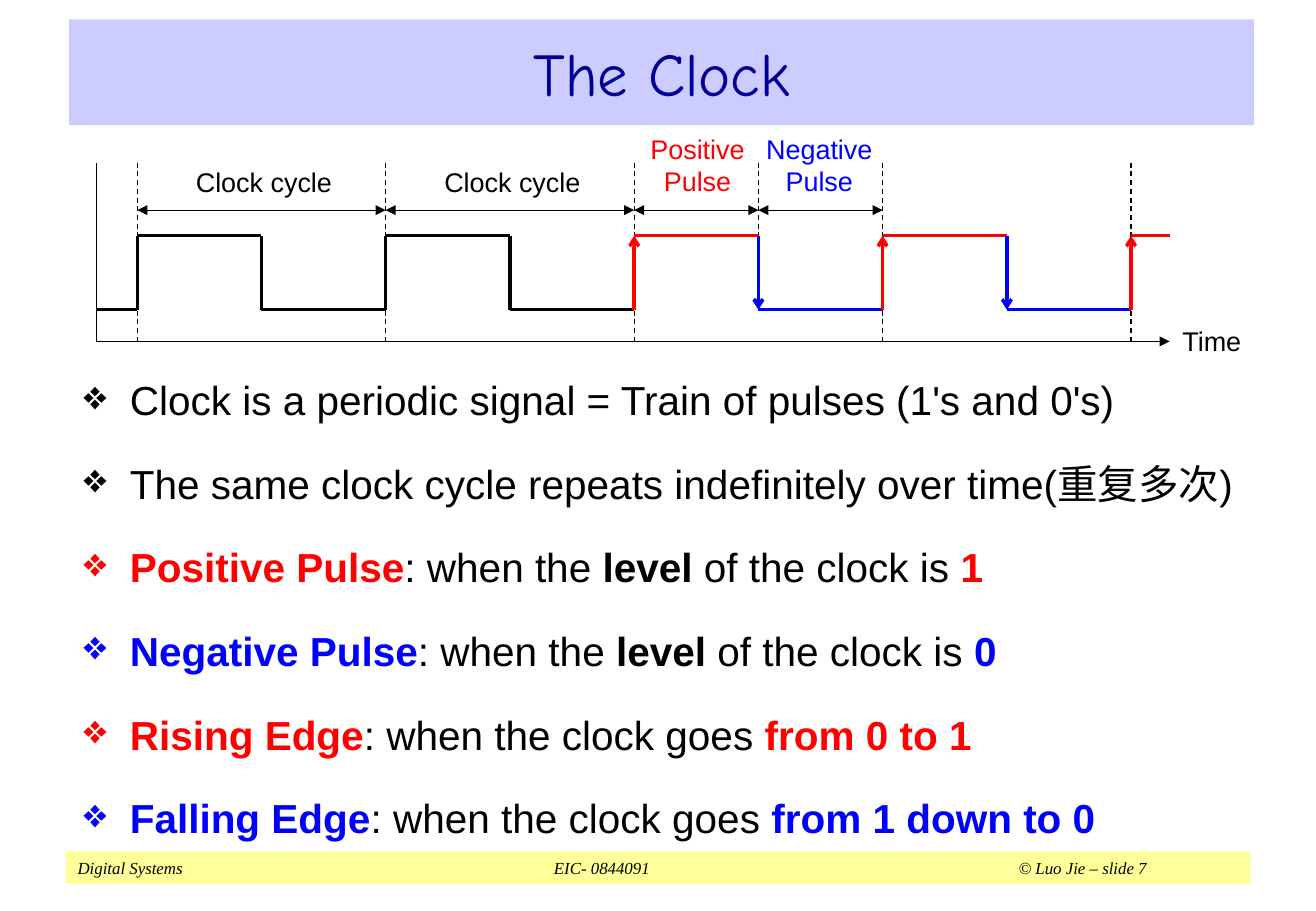
"""Build a slide that explains the clock signal with a timing diagram and definitions."""
from dataclasses import dataclass

from lxml import etree
from pptx import Presentation
from pptx.dml.color import RGBColor
from pptx.enum.dml import MSO_LINE
from pptx.enum.shapes import MSO_CONNECTOR, MSO_SHAPE
from pptx.enum.text import MSO_ANCHOR, PP_ALIGN
from pptx.oxml.ns import qn
from pptx.slide import Slide
from pptx.util import Inches, Pt

STRAIGHT = MSO_CONNECTOR.STRAIGHT
RECTANGLE = MSO_SHAPE.RECTANGLE
DASH = MSO_LINE.DASH
LEFT, CENTER = PP_ALIGN.LEFT, PP_ALIGN.CENTER
TOP, MIDDLE = MSO_ANCHOR.TOP, MSO_ANCHOR.MIDDLE

PAGE_WIDTH, PAGE_HEIGHT = Inches(10.83), Inches(7.5)


@dataclass(frozen=True)
class Theme:
    black: str = "000000"
    red: str = "FF0000"
    blue: str = "0000FF"
    title_text: str = "000099"
    title_fill: str = "CCCCFF"
    footer_fill: str = "FFFF99"
    sans: str = "Arial"
    title_font: str = "Comic Neue"
    footer_font: str = "Times New Roman"
    title_size: float = 36
    body_size: float = 24
    label_size: float = 16
    footer_size: float = 10
    thin: float = 0.75
    thick: float = 2


THEME = Theme()


@dataclass(frozen=True)
class Box:
    """Rectangle in percent of the page."""
    left: float
    top: float
    width: float
    height: float


@dataclass(frozen=True)
class Span:
    text: str
    color: str = THEME.black
    bold: bool = False


@dataclass(frozen=True)
class Label:
    text: str
    middle: float
    columns: float
    top: float
    height: float
    color: str = THEME.black


@dataclass(frozen=True)
class Measure:
    start: int
    end: int


FIRST_EDGE, HALF_CYCLE = 10.43, 9.44
AXIS_START, AXIS_END, LAST_EDGE = -0.33, 8.31, 8
GUIDE_TOP, MEASURE_ROW, HIGH, GUIDE_SHORT, LOW, AXIS = 17.87, 23.07, 25.87, 28.4, 34, 37.47
FIRST_COLORED = 4

LABELS = [
    Label("Clock cycle", 1.02, 1.31, 17.47, 4.93),
    Label("Clock cycle", 3.02, 1.31, 17.47, 4.93),
    Label("Positive\nPulse", 4.51, 1.03, 13.87, 8.53, THEME.red),
    Label("Negative\nPulse", 5.49, 1.03, 13.87, 8.53, THEME.blue),
    Label("Time", 8.65, 0.52, 34.93, 4.93),
]
MEASURES = [Measure(0, 2), Measure(2, 4), Measure(4, 5), Measure(5, 6)]


def pulse(name: str, color: str, value: str) -> list[Span]:
    return [Span(name, color, True), Span(": when the "), Span("level", bold=True),
            Span(" of the clock is "), Span(value, color, True)]


def edge(name: str, color: str, change: str) -> list[Span]:
    return [Span(name, color, True), Span(": when the clock goes "), Span(change, color, True)]


DEFINITIONS = [
    [Span("Clock is a periodic signal = Train of pulses (1's and 0's)")],
    [Span("The same clock cycle repeats indefinitely over time(重复多次)")],
    pulse("Positive Pulse", THEME.red, "1"),
    pulse("Negative Pulse", THEME.blue, "0"),
    edge("Rising Edge", THEME.red, "from 0 to 1"),
    edge("Falling Edge", THEME.blue, "from 1 down to 0"),
]


def across(percent: float) -> int:
    return round(PAGE_WIDTH * percent / 100)


def down(percent: float) -> int:
    return round(PAGE_HEIGHT * percent / 100)


def column(index: float) -> float:
    return FIRST_EDGE + HALF_CYCLE * index


def add_text(page: Slide, box: Box, paras: list[list[Span]], *, size: float,
             font: str = THEME.sans, fill: str = "", align: PP_ALIGN = LEFT,
             anchor: MSO_ANCHOR = TOP, inset: float = 0.1, italic: bool = False,
             bullet: str = "", tabs: tuple[float, ...] = ()) -> None:
    place = across(box.left), down(box.top), across(box.width), down(box.height)
    if fill:
        shape = page.shapes.add_shape(RECTANGLE, *place)
        shape.shadow.inherit = False
        shape.fill.solid()
        shape.fill.fore_color.rgb = RGBColor.from_string(fill)
        shape.line.fill.background()
    else:
        shape = page.shapes.add_textbox(*place)
    frame = shape.text_frame
    frame.word_wrap = True
    frame.vertical_anchor = anchor
    frame.margin_left = frame.margin_right = Inches(inset)
    for index, spans in enumerate(paras):
        para = frame.paragraphs[0] if index == 0 else frame.add_paragraph()
        para.alignment = align
        if bullet:
            para.line_spacing = 1.2
            para.space_before = Pt(15)
        properties = para._p.get_or_add_pPr()
        if bullet:
            properties.set("marL", str(Inches(0.38)))
            properties.set("indent", str(-Inches(0.38)))
            etree.SubElement(properties, qn("a:buChar"), char=bullet)
        if tabs:
            stops = etree.SubElement(properties, qn("a:tabLst"))
            for stop in tabs:
                etree.SubElement(stops, qn("a:tab"), pos=str(across(stop)), algn="l")
        for span in spans:
            run = para.add_run()
            run.text = span.text
            run.font.name = font
            run.font.size = Pt(size)
            run.font.bold = span.bold
            run.font.italic = italic
            run.font.color.rgb = RGBColor.from_string(span.color)


def add_line(page: Slide, start: tuple[float, float], end: tuple[float, float], *,
             color: str = THEME.black, width: float = THEME.thin, dashed: bool = False,
             head: str = "none", tail: str = "none") -> None:
    line = page.shapes.add_connector(STRAIGHT, across(column(start[0])), down(start[1]),
                                     across(column(end[0])), down(end[1]))
    line.line.color.rgb = RGBColor.from_string(color)
    line.line.width = Pt(width)
    if dashed:
        line.line.dash_style = DASH
    outline = line.line._get_or_add_ln()
    etree.SubElement(outline, qn("a:headEnd"), type=head)
    etree.SubElement(outline, qn("a:tailEnd"), type=tail)
    etree.SubElement(line._element.spPr, qn("a:effectLst"))


def draw_signal(page: Slide) -> None:
    add_line(page, (AXIS_START, LOW), (0, LOW), width=THEME.thick)
    for half in range(LAST_EDGE + 1):
        before, level = (LOW, HIGH) if half % 2 == 0 else (HIGH, LOW)
        colored = half >= FIRST_COLORED
        color = (THEME.red if level == HIGH else THEME.blue) if colored else THEME.black
        add_line(page, (half, before), (half, level), color=color, width=THEME.thick,
                 tail="arrow" if colored else "none")
        add_line(page, (half, level), (min(half + 1, AXIS_END), level), color=color,
                 width=THEME.thick)


def draw_diagram(page: Slide) -> None:
    for guide in range(0, LAST_EDGE + 1, 2):
        add_line(page, (guide, GUIDE_TOP), (guide, AXIS), dashed=True)
    add_line(page, (5, GUIDE_TOP), (5, GUIDE_SHORT), dashed=True)
    add_line(page, (AXIS_START, AXIS), (AXIS_END, AXIS), tail="triangle")
    add_line(page, (AXIS_START, AXIS), (AXIS_START, GUIDE_TOP))
    draw_signal(page)
    for measure in MEASURES:
        add_line(page, (measure.start, MEASURE_ROW), (measure.end, MEASURE_ROW),
                 head="triangle", tail="triangle")
    for label in LABELS:
        box = Box(column(label.middle - label.columns / 2), label.top,
                  label.columns * HALF_CYCLE, label.height)
        paras = [[Span(text, label.color)] for text in label.text.split("\n")]
        add_text(page, box, paras, size=THEME.label_size, align=CENTER, inset=0)


def main() -> None:
    deck = Presentation()
    deck.slide_width, deck.slide_height = PAGE_WIDTH, PAGE_HEIGHT
    page = deck.slides.add_slide(deck.slide_layouts[6])
    add_text(page, Box(4.99, 93.47, 90.03, 3.6),
             [[Span("Digital Systems\tEIC- 0844091\t© Luo Jie – slide 7")]],
             size=THEME.footer_size, font=THEME.footer_font, fill=THEME.footer_fill,
             anchor=MIDDLE, italic=True, tabs=(36.2, 71.5))
    add_text(page, Box(5.26, 2.13, 90.03, 11.6), [[Span("The Clock", THEME.title_text)]],
             size=THEME.title_size, font=THEME.title_font, fill=THEME.title_fill,
             align=CENTER, anchor=MIDDLE)
    add_text(page, Box(5.45, 39.47, 92.71, 54.53), DEFINITIONS, size=THEME.body_size, bullet="❖")
    draw_diagram(page)
    deck.save("out.pptx")


if __name__ == "__main__":
    main()
